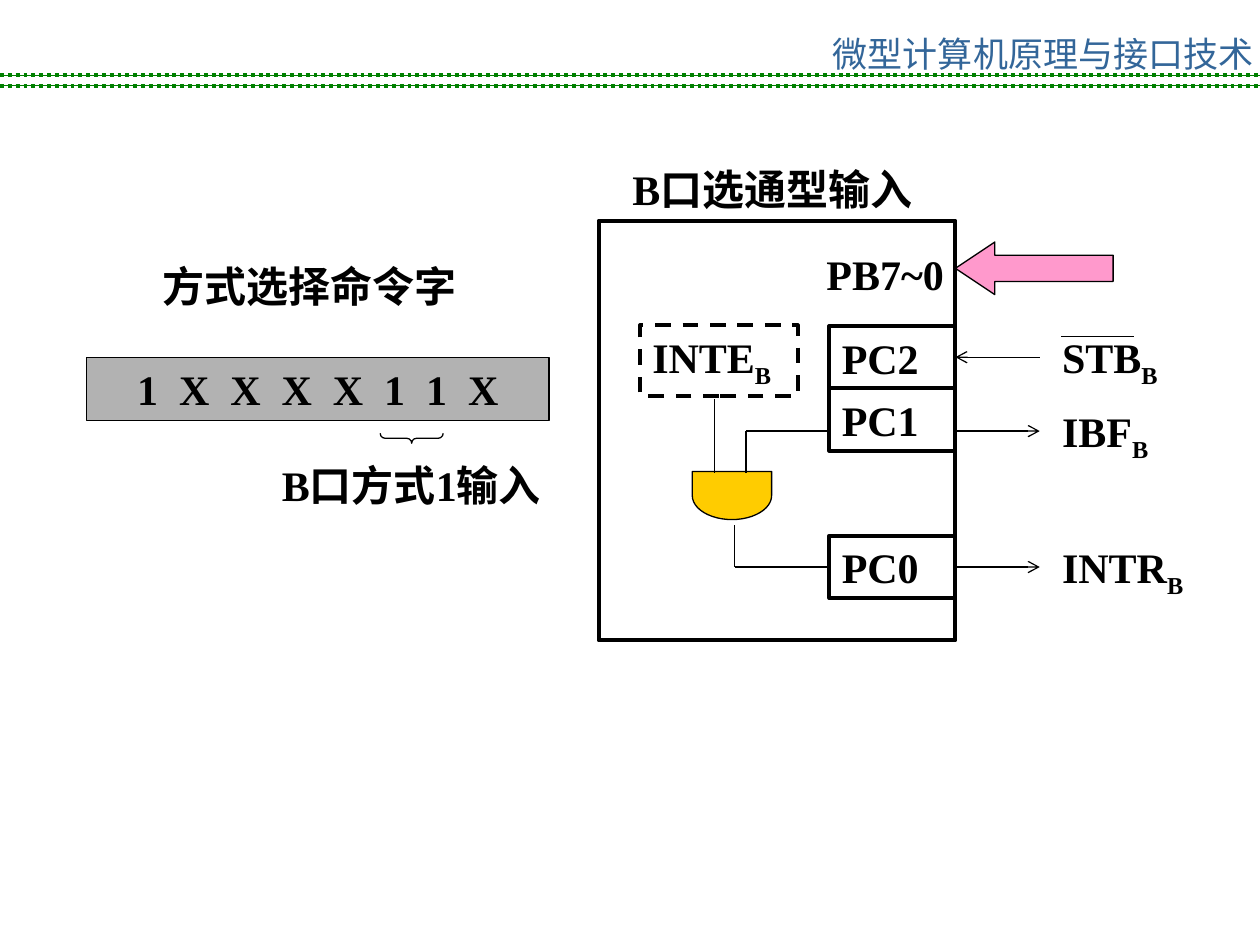
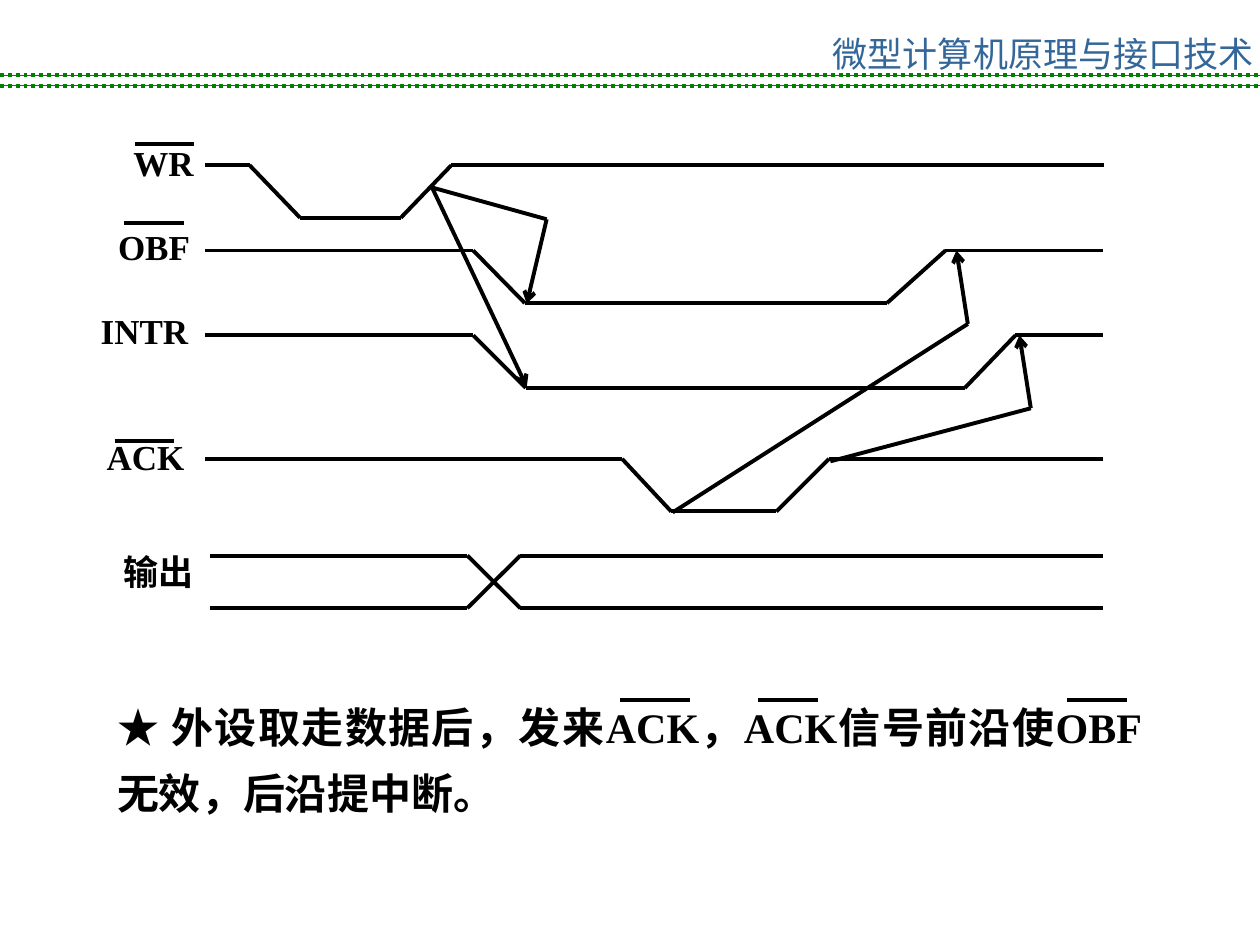
"""Build two slides on strobed port input and strobed output timing."""
from dataclasses import dataclass
from itertools import pairwise
from typing import Any, Optional

from lxml import etree
from pptx import Presentation
from pptx import util as u
from pptx.dml.color import RGBColor
from pptx.enum import dml, shapes, text
from pptx.oxml.ns import qn

BLACK, GREEN, BLUE = "000000", "008000", "336699"
GREY, GOLD, PINK = "B2B2B2", "FFCC00", "FF99CC"
SERIF, SANS = "Times New Roman", "Noto Sans CJK SC"
THIN, THICK = 0.75, 2.25
LEFT, CENTER, RIGHT = text.PP_ALIGN.LEFT, text.PP_ALIGN.CENTER, text.PP_ALIGN.RIGHT
SHAPE = shapes.MSO_SHAPE
SLIDE_W, SLIDE_H = 25.4, 19.05
DROP = 1.06
Point = tuple[float, float]


@dataclass(frozen=True)
class Area:
    """A rectangle on the slide, in centimetres."""
    left: float
    top: float
    width: float
    height: float = 1.27

    def lengths(self) -> list[u.Cm]:
        """Return the four lengths that python-pptx expects."""
        return [u.Cm(v) for v in (self.left, self.top, self.width, self.height)]


@dataclass(frozen=True)
class Label:
    """A piece of text with an optional subscript."""
    words: str
    sub: str = ""
    size: float = 24
    align: Any = LEFT
    font: str = SERIF
    color: str = BLACK
    bold: bool = True
    spread: int = 0
    leading: float = 1.0


@dataclass(frozen=True)
class Figure:
    """A preset shape with its outline, fill and turn."""
    area: Area
    kind: Any = SHAPE.RECTANGLE
    weight: float = THICK
    fill: Optional[str] = None
    label: Optional[Label] = None
    dashed: bool = False
    turn: float = 0
    adjust: tuple[float, ...] = ()


@dataclass(frozen=True)
class Wave:
    """A signal trace: its high level, its turning points and 1 for low."""
    high: float
    xs: tuple[float, ...]
    lows: tuple[int, ...]

    def points(self) -> list[Point]:
        """Return the corners of the trace."""
        return [(x, self.high + DROP * low) for x, low in zip(self.xs, self.lows)]


def rgb(value: str) -> RGBColor:
    """Turn a hex string into a colour."""
    return RGBColor.from_string(value)


def apply(target: Any, values: dict[str, Any]) -> None:
    """Set every attribute named in the dict."""
    for name, value in values.items():
        setattr(target, name, value)


def write(frame: Any, label: Label, wrap: bool = True) -> None:
    """Fill a text frame with a label."""
    apply(frame, {"word_wrap": wrap, "auto_size": text.MSO_AUTO_SIZE.NONE,
                  "vertical_anchor": text.MSO_ANCHOR.TOP})
    para = frame.paragraphs[0]
    apply(para, {"alignment": label.align, "line_spacing": label.leading})
    for words, lowered in ((label.words, False), (label.sub, True)):
        if not words:
            continue
        span = para.add_run()
        span.text = words
        apply(span.font, {"name": label.font, "size": u.Pt(label.size), "bold": label.bold})
        span.font.color.rgb = rgb(label.color)
        props = span.font._element
        etree.SubElement(props, qn("a:ea"), typeface=SANS)
        if lowered:
            props.set("baseline", "-25000")
        if label.spread:
            props.set("spc", str(label.spread))


def add_label(page: Any, area: Area, label: Label, wrap: bool = True) -> None:
    """Add a text box."""
    write(page.shapes.add_textbox(*area.lengths()).text_frame, label, wrap)


def add_figure(page: Any, figure: Figure) -> Any:
    """Add a preset shape."""
    box = page.shapes.add_shape(figure.kind, *figure.area.lengths())
    box.shadow.inherit = False
    box.rotation = figure.turn
    for index, value in enumerate(figure.adjust):
        box.adjustments[index] = value
    if figure.fill:
        box.fill.solid()
        box.fill.fore_color.rgb = rgb(figure.fill)
    else:
        box.fill.background()
    box.line.color.rgb = rgb(BLACK)
    box.line.width = u.Pt(figure.weight)
    if figure.dashed:
        box.line.dash_style = dml.MSO_LINE.DASH
    if figure.label:
        write(box.text_frame, figure.label)
    return box


def add_line(page: Any, start: Point, end: Point, weight: float = THICK,
             color: str = BLACK, arrow: bool = False) -> Any:
    """Add a straight connector, with an arrowhead at its end if asked."""
    line = page.shapes.add_connector(shapes.MSO_CONNECTOR.STRAIGHT,
                                     *[u.Cm(v) for v in (*start, *end)])
    line.line.color.rgb = rgb(color)
    line.line.width = u.Pt(weight)
    if arrow:
        etree.SubElement(line.line._get_or_add_ln(), qn("a:tailEnd"), type="arrow")
    etree.SubElement(line._element.spPr, qn("a:effectLst"))
    return line


def add_path(page: Any, points: list[Point], weight: float = THICK, arrow: bool = False) -> Any:
    """Join points with connectors and return the last one."""
    line = None
    for start, end in pairwise(points):
        line = add_line(page, start, end, weight, arrow=arrow and end == points[-1])
    return line


def add_page(deck: Any) -> Any:
    """Add a blank slide with the course title and the beaded double rule."""
    page = deck.slides.add_slide(deck.slide_layouts[6])
    add_label(page, Area(16.54, 0.53, 8.86, 0.61),
              Label("微型计算机原理与接口技术", size=20, font=SANS, color=BLUE, bold=False),
              wrap=False)
    for y in (1.73, 1.52):
        add_line(page, (0, y), (SLIDE_W, y), THIN, GREEN)
        beads = add_line(page, (0, y), (SLIDE_W, y), THICK, GREEN)
        beads.line.dash_style = dml.MSO_LINE.ROUND_DOT
    return page


def build_input_page(deck: Any) -> None:
    """Draw the mode word and the strobed input of port B."""
    page = add_page(deck)
    word = Label("1 X X X X 1 1 X", align=CENTER, spread=300)
    add_figure(page, Figure(Area(1.75, 7.21, 9.32), weight=THIN, fill=GREY, label=word))
    add_figure(page, Figure(Area(8.2, 8.2, 0.2), SHAPE.LEFT_BRACE, THIN, turn=270,
                            adjust=(0.5, 0.5)))
    add_label(page, Area(4.7, 9.14, 7.19), Label("B口方式1输入", align=CENTER))
    add_label(page, Area(3.02, 5.13, 7.19), Label("方式选择命令字"))

    edge, pin_left, pin_height = 19.26, 16.72, 1.26
    add_figure(page, Figure(Area(12.07, 4.45, edge - 12.07, 8.46)))
    pins = {name: add_figure(page, Figure(Area(pin_left, top, edge - pin_left, pin_height),
                                          label=Label(name)))
            for name, top in (("PC2", 6.57), ("PC1", 7.83), ("PC0", 10.8))}
    add_figure(page, Figure(Area(12.9, 6.56, 3.18, 1.42), label=Label("INTE", "B"), dashed=True))
    add_figure(page, Figure(Area(14.27, 9.19, 0.97, 1.6), SHAPE.FLOWCHART_DELAY, THIN, GOLD,
                            turn=90))

    strobe_y, full_y, request_y, tip = 7.2, 8.69, 11.43, 20.96
    add_path(page, [(14.4, 8.05), (14.4, 9.53)], THIN)
    add_path(page, [(15.04, 9.53), (15.04, full_y), (pin_left, full_y)], THIN)
    gate_out = add_path(page, [(14.81, 10.59), (14.81, request_y), (pin_left, request_y)], THIN)
    gate_out.end_connect(pins["PC0"], 1)
    strobe = add_line(page, (tip, strobe_y), (edge, strobe_y), THIN, arrow=True)
    strobe.end_connect(pins["PC2"], 3)
    add_line(page, (edge, full_y), (tip, full_y), THIN, arrow=True)
    request = add_line(page, (edge, request_y), (tip, request_y), THIN, arrow=True)
    request.begin_connect(pins["PC0"], 3)

    for name, top in (("STB", 6.56), ("IBF", 8.05), ("INTR", 10.8)):
        add_label(page, Area(21.16, top, 3.53, 1.42), Label(name, "B"))
    add_line(page, (21.39, 6.78), (22.86, 6.78), THIN)
    add_label(page, Area(15.04, 4.88, 4.24), Label("PB7~0", align=RIGHT))
    add_label(page, Area(12.5, 3.18, 7.19), Label("B口选通型输入"))
    add_figure(page, Figure(Area(edge, 4.88, 3.18, 1.06), SHAPE.LEFT_ARROW, THIN, PINK,
                            adjust=(0.5, 0.75)))


SIGNAL_NAMES = (
    (Area(2.44, 2.72, 3.71, 1.12), Label("WR", size=20)),
    (Area(2.13, 4.42, 3.71, 1.12), Label("OBF", size=20)),
    (Area(1.78, 6.12, 4.57, 1.12), Label("INTR", size=20)),
    (Area(1.9, 8.66, 2.84, 1.12), Label("ACK", size=20)),
    (Area(1.3, 10.97, 3.78, 1.12), Label("输出", size=20, align=CENTER)),
)
DIP = (0, 0, 1, 1, 0, 0)
DATA_XS = (4.24, 9.42, 10.49, 22.23)
WAVES = (
    Wave(3.33, (4.14, 5.03, 6.05, 8.08, 9.1, 22.25), DIP),
    Wave(5.05, (4.14, 9.54, 10.58, 17.88, 19.06, 22.23), DIP),
    Wave(6.76, (4.14, 9.54, 10.6, 19.45, 20.47, 22.23), DIP),
    Wave(9.25, (4.14, 12.54, 13.53, 15.65, 16.71, 22.23), DIP),
    Wave(11.2, DATA_XS, (0, 0, 1, 1)),
    Wave(11.2, DATA_XS, (1, 1, 0, 0)),
)
CAUSES = (
    [(8.71, 3.78), (11.02, 4.42), (10.62, 6.12)],
    [(8.71, 3.78), (10.62, 7.8)],
    [(13.56, 10.33), (19.51, 6.53), (19.28, 5.05)],
    [(16.74, 9.3), (20.78, 8.23), (20.55, 6.76)],
)
OVERLINES = ((2.72, 2.9, 1.2), (2.51, 4.5, 1.2), (2.31, 8.89, 1.2),
             (12.5, 14.12, 1.4), (15.29, 14.12, 1.2), (21.51, 14.12, 1.2))


def build_timing_page(deck: Any) -> None:
    """Draw the output timing diagram and its remark."""
    page = add_page(deck)
    remark = Label("★ 外设取走数据后，发来ACK，ACK信号前沿使OBF无效，后沿提中断。",
                   align=text.PP_ALIGN.JUSTIFY, leading=1.3)
    add_label(page, Area(2.11, 13.72, 21.16, 2.9), remark)
    for area, label in SIGNAL_NAMES:
        add_label(page, area, label)
    for wave in WAVES:
        add_path(page, wave.points())
    for points in CAUSES:
        add_path(page, points, arrow=True)
    for x, y, length in OVERLINES:
        add_line(page, (x, y), (x + length, y))


def main() -> None:
    """Build the deck and save it."""
    deck = Presentation()
    apply(deck, {"slide_width": u.Cm(SLIDE_W), "slide_height": u.Cm(SLIDE_H)})
    build_input_page(deck)
    build_timing_page(deck)
    deck.save("out.pptx")


if __name__ == "__main__":
    main()
